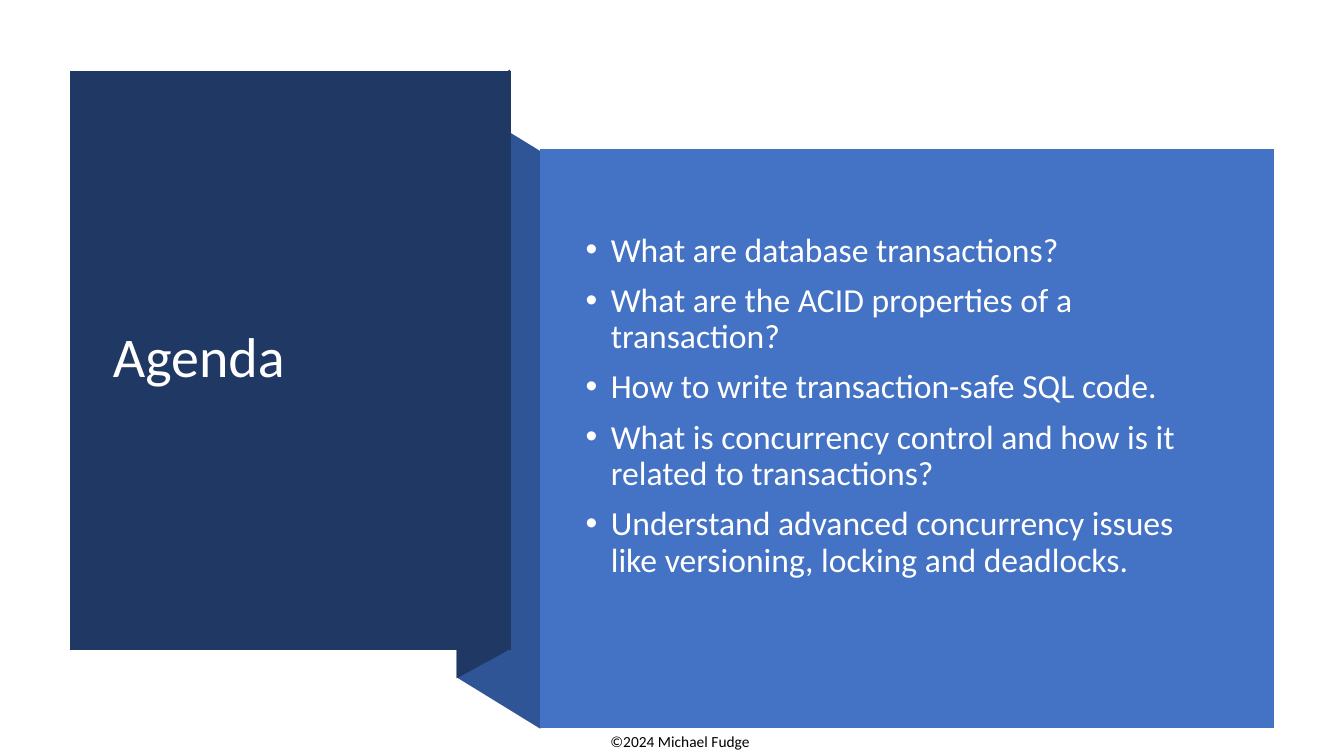
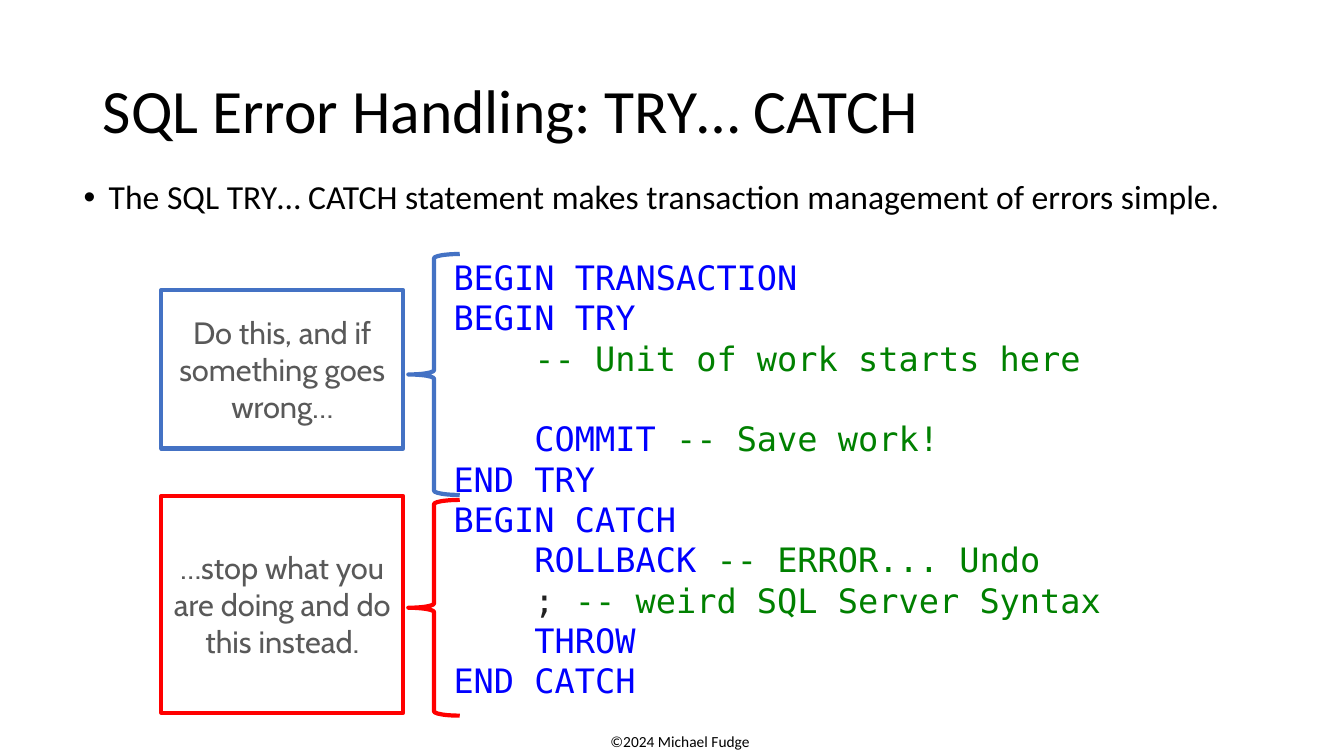
from pptx import Presentation
from pptx.dml.color import RGBColor
from pptx.enum.shapes import MSO_SHAPE
from pptx.enum.text import MSO_ANCHOR, MSO_AUTO_SIZE, PP_ALIGN
from pptx.oxml.ns import qn
from pptx.util import Inches, Pt
from lxml import etree

RECT, BRACE = MSO_SHAPE.RECTANGLE, MSO_SHAPE.LEFT_BRACE
TOP, MIDDLE = MSO_ANCHOR.TOP, MSO_ANCHOR.MIDDLE
LEFT, CENTER = PP_ALIGN.LEFT, PP_ALIGN.CENTER
FIXED = MSO_AUTO_SIZE.NONE


class Theme:
    navy = RGBColor(0x20, 0x38, 0x64)
    fold = RGBColor(0x2F, 0x55, 0x97)
    blue = RGBColor(0x44, 0x72, 0xC4)
    red = RGBColor(0xFF, 0x00, 0x00)
    white = RGBColor(0xFF, 0xFF, 0xFF)
    black = RGBColor(0x00, 0x00, 0x00)
    gray = RGBColor(0x59, 0x59, 0x59)
    key = RGBColor(0x00, 0x00, 0xFF)
    note = RGBColor(0x00, 0x80, 0x00)
    plain = RGBColor(0x21, 0x21, 0x21)
    text, label, code = "Calibri", "Cabin", "DejaVu Sans Mono"
    small, mid, body, head, large = Pt(11), Pt(22), Pt(24), Pt(40), Pt(44)
    pitch = Pt(28.8)


def place(shape, left, top, width, height):
    shape.left, shape.top = Inches(left), Inches(top)
    shape.width, shape.height = Inches(width), Inches(height)


def write(shape, lines, size, color, font=Theme.text, align=LEFT,
          anchor=MIDDLE, bullet=False, spacing=None):
    frame = shape.text_frame
    frame.text = "\n".join(lines)
    frame.word_wrap = True
    frame.auto_size = FIXED
    frame.vertical_anchor = anchor
    for row, para in enumerate(frame.paragraphs):
        para.alignment = align
        para.line_spacing = spacing
        if bullet:
            para.space_before = Pt(10 if row else 0)
            props = para._p.get_or_add_pPr()
            props.set("marL", str(Inches(0.25)))
            props.set("indent", str(Inches(-0.25)))
            etree.SubElement(props, qn("a:buFont")).set("typeface", "Arial")
            etree.SubElement(props, qn("a:buChar")).set("char", "•")
        for run in para.runs:
            run.font.size, run.font.name = size, font
            run.font.color.rgb = color


deck = Presentation()
deck.slide_width, deck.slide_height = Inches(13.33), Inches(7.5)

heads = [
    ("Agenda", (1.02, 1.07, 3.71, 4.99), Theme.head, Theme.white),
    ("SQL Error Handling: TRY… CATCH", (0.92, 0.4, 11.5, 1.45),
     Theme.large, Theme.black),
]
slides = []
for words, box, size, color in heads:
    slide = deck.slides.add_slide(deck.slide_layouts[5])
    place(slide.shapes.title, *box)
    write(slide.shapes.title, [words], size, color, spacing=0.9)
    footer = slide.shapes.add_textbox(0, 0, 0, 0)
    place(footer, 5.75, 7.21, 1.99, 0.29)
    write(footer, ["©2024 Michael Fudge"], Theme.small, Theme.black,
          align=CENTER, anchor=TOP)
    slides.append(slide)
agenda, errors = slides

panels = [
    (Theme.fold, [(5.36, 7.23), (4.53, 6.72), (4.53, 0.99), (5.36, 1.5)]),
    (Theme.navy, [(5.06, 6.44), (4.53, 6.73), (4.53, 0.98), (5.06, 0.69)]),
    (Theme.navy, [(0.69, 0.7), (5.07, 0.7), (5.07, 6.45), (0.69, 6.45)]),
    (Theme.blue, [(5.36, 1.48), (12.64, 1.48), (12.64, 7.22), (5.36, 7.22)]),
]
for color, points in panels:
    start, *rest = [(Inches(x), Inches(y)) for x, y in points]
    outline = agenda.shapes.build_freeform(*start)
    outline.add_line_segments(rest, close=True)
    panel = outline.convert_to_shape()
    panel.shadow.inherit = False
    panel.fill.solid()
    panel.fill.fore_color.rgb = color
    panel.line.fill.background()
agenda.shapes.element.append(agenda.shapes.title.element)

topics = agenda.shapes.add_textbox(0, 0, 0, 0)
place(topics, 5.71, 1.88, 6.51, 4.3)
write(topics, [
    "What are database transactions?",
    "What are the ACID properties of a transaction?",
    "How to write transaction-safe SQL code.",
    "What is concurrency control and how is it related to transactions?",
    "Understand advanced concurrency issues like versioning, locking and deadlocks.",
], Theme.body, Theme.white, bullet=True, spacing=0.9)

intro = errors.shapes.add_textbox(0, 0, 0, 0)
place(intro, 0.73, 1.74, 11.69, 0.58)
write(intro, ["The SQL TRY… CATCH statement makes transaction management of errors simple."],
      Theme.body, Theme.black, anchor=TOP, bullet=True, spacing=0.9)

code = [
    ("BEGIN TRANSACTION", ""),
    ("BEGIN TRY", ""),
    ("    ", "-- Unit of work starts here"),
    ("    COMMIT ", "-- Save work!"),
    ("END TRY", ""),
    ("BEGIN CATCH", ""),
    ("    ROLLBACK ", "-- ERROR... Undo"),
    ("    ; ", "-- weird SQL Server Syntax"),
    ("    THROW", ""),
    ("END CATCH", ""),
]
script = errors.shapes.add_textbox(0, 0, 0, 0)
place(script, 4.4, 2.5, 7.74, 4.6)
write(script, [line for line, note in code], Theme.body, Theme.key,
      Theme.code, anchor=TOP, spacing=Theme.pitch)
for para, (line, note) in zip(script.text_frame.paragraphs, code):
    if ";" in line:
        para.runs[0].font.color.rgb = Theme.plain
    if "COMMIT" in line:
        para.space_before = Theme.pitch
    if note:
        run = para.add_run()
        run.text = note
        run.font.size, run.font.name = Theme.body, Theme.code
        run.font.color.rgb = Theme.note

steps = [
    ("Do this, and if something goes wrong…", Theme.blue,
     (2.52, 2.39), (2.88, 1.57)),
    ("…stop what you are doing and do this instead.", Theme.red,
     (4.96, 2.14), (4.92, 2.15)),
]
for words, color, span, box in steps:
    brace = errors.shapes.add_shape(BRACE, 0, 0, 0, 0)
    place(brace, 4.05, span[0], 0.51, span[1])
    brace.fill.background()
    card = errors.shapes.add_shape(RECT, 0, 0, 0, 0)
    place(card, 1.6, box[0], 2.4, box[1])
    card.fill.solid()
    card.fill.fore_color.rgb = Theme.white
    write(card, [words], Theme.mid, Theme.gray, Theme.label, align=CENTER)
    for shape in (brace, card):
        shape.shadow.inherit = False
        shape.line.color.rgb = color
        shape.line.width = Pt(3)

deck.save("out.pptx")
